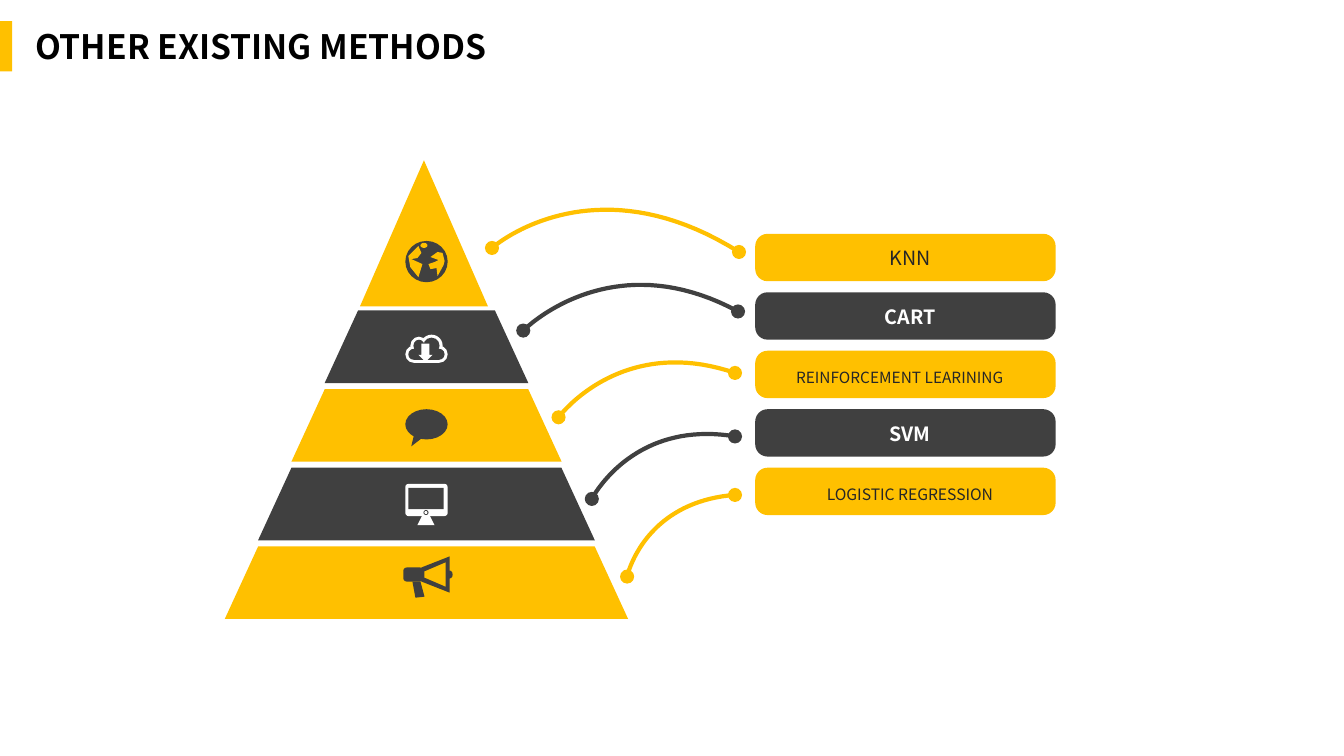
"""Build a slide with a five-level pyramid linked to a list of methods."""
from pptx import Presentation
from pptx.dml.color import RGBColor as RGB
from pptx.enum.shapes import MSO_SHAPE as Shape
from pptx.enum.text import MSO_ANCHOR as Anchor, PP_ALIGN as Align
from pptx.util import Pt

GOLD = RGB(0xFF, 0xC0, 0x00)
DARK = RGB(0x40, 0x40, 0x40)
INK = RGB(0x26, 0x26, 0x26)
BLACK = RGB(0, 0, 0)
WHITE = RGB(0xFF, 0xFF, 0xFF)
FONT = "Noto Sans CJK SC"
PX = 9144

TITLE = "OTHER EXISTING METHODS"
NARROW, BROAD = (803, 199), (749, 287)
LEVELS = [
    dict(name="KNN", size=14, box=NARROW, icon="globe", icon_y=239,
         start=(488, 246), bend=(587, 158), end=(733, 250)),
    dict(name="CART", size=14, box=NARROW, icon="cloud", icon_y=332,
         start=(519, 328), bend=(605, 240), end=(732, 309)),
    dict(name="REINFORCEMENT LEARINING", size=11, box=BROAD, icon="bubble",
         icon_y=406, start=(554, 414), bend=(615, 331), end=(729, 370)),
    dict(name="SVM", size=14, box=NARROW, icon="screen", icon_y=480,
         start=(587, 495), bend=(627, 416), end=(729, 433)),
    dict(name="LOGISTIC REGRESSION", size=11.2, box=NARROW, icon="horn",
         icon_y=552, start=(622, 572), bend=(638, 498), end=(729, 491)),
]

PEAK = (357, 159, 127, 145)
BAND_X, BAND_Y, BAND_W, BAND_H = 322, 308, 202, 72
BAND_GAP, SLOPE = 6, 33
BAR_X, BAR_Y, BAR_W, BAR_H, PITCH = 749, 232, 298, 47, 58
ICON_X = 402
DOT = 14
STEPS = 40

deck = Presentation()
deck.slide_width, deck.slide_height = 1333 * PX, 750 * PX
shapes = deck.slides.add_slide(deck.slide_layouts[6]).shapes


def paint(shape, fill=None, line=None):
    """Set a plain fill or a plain line, without a shadow."""
    shape.shadow.inherit = False
    if fill is None:
        shape.fill.background()
    else:
        shape.fill.solid()
        shape.fill.fore_color.rgb = fill
    if line is None:
        shape.line.fill.background()
    else:
        shape.line.color.rgb = line
        shape.line.width = Pt(3)


def block(kind, box, fill, adjust=()):
    """Add a filled preset shape with its adjustments."""
    shape = shapes.add_shape(kind, *(side * PX for side in box))
    for index, value in enumerate(adjust):
        shape.adjustments[index] = round(value, 2)
    paint(shape, fill)


def draw(points, fill=None, line=None):
    """Add a filled polygon or an open line through the points."""
    first, *rest = [(round(x * PX), round(y * PX)) for x, y in points]
    pen = shapes.build_freeform(*first, scale=1.0)
    pen.add_line_segments(rest, close=fill is not None)
    paint(pen.convert_to_shape(), fill, line)


def curve(start, bend, end):
    """Give points on a cubic curve that leaves its start straight."""
    points = []
    for step in range(STEPS + 1):
        t = step / STEPS
        u = 1 - t
        near, mid, far = u ** 3 + 3 * u * u * t, 3 * u * t * t, t ** 3
        points.append([near * a + mid * b + far * c
                       for a, b, c in zip(start, bend, end)])
    return points


def write(text, box, size=14, color=INK, bold=False,
          align=Align.LEFT, anchor=Anchor.TOP, space=None):
    """Add a text box with one paragraph."""
    frame = shapes.add_textbox(*(side * PX for side in box)).text_frame
    frame.word_wrap = True
    frame.vertical_anchor = anchor
    para = frame.paragraphs[0]
    para.alignment, para.line_spacing = align, space
    run = para.add_run()
    run.text = text
    font = run.font
    font.name, font.size, font.bold = FONT, Pt(size), bold
    font.color.rgb = color


def sketch(name, top, pen, back):
    """Draw an icon in the pen colour, with gaps in the back colour."""

    def part(kind, x, y, w, h, fill=pen, adjust=()):
        block(kind, (ICON_X + x, top + y, w, h), fill, adjust)

    def patch(*points, fill=pen):
        draw([(ICON_X + x, top + y) for x, y in points], fill=fill)

    if name == "globe":
        part(Shape.OVAL, 0, 0, 42, 41)
        part(Shape.OVAL, 15, 2, 7, 5, back)
        patch((3, 15), (13, 5), (16, 12), (12, 17), (6, 18), (17, 23),
              (13, 36), (5, 26), fill=back)
        patch((23, 23), (29, 21), (33, 19), (25, 16), (32, 11), (37, 12),
              (39, 20), (38, 24), (32, 35), (31, 27), (25, 28), fill=back)
    elif name == "cloud":
        for fill, rim in ((pen, 0), (back, 3)):
            for kind, x, y, w, h in ((Shape.OVAL, 5, 2, 17, 18),
                                     (Shape.OVAL, 15, 0, 22, 22),
                                     (Shape.ROUNDED_RECTANGLE, 0, 11, 42, 17)):
                part(kind, x + rim, y + rim, w - 2 * rim, h - 2 * rim, fill,
                     (0.5,) if kind == Shape.ROUNDED_RECTANGLE else ())
        part(Shape.DOWN_ARROW, 13, 9, 14, 18, adjust=(0.57, 0.5))
    elif name == "bubble":
        part(Shape.OVAL_CALLOUT, 0, 0, 42, 30, adjust=(-0.36, 0.73))
    elif name == "screen":
        part(Shape.ROUNDED_RECTANGLE, 0, 0, 42, 32, adjust=(0.1,))
        part(Shape.RECTANGLE, 3, 4, 35, 21, back)
        part(Shape.OVAL, 18, 26, 5, 5, back)
        part(Shape.OVAL, 19, 27, 3, 3)
        part(Shape.TRAPEZOID, 12, 32, 17, 9, adjust=(0.5,))
    elif name == "horn":
        part(Shape.ROUNDED_RECTANGLE, -2, 11, 20, 14, adjust=(0.25,))
        part(Shape.OVAL, 41, 14, 6, 8)
        patch((16, 11), (44, 0), (44, 36), (16, 25))
        patch((19, 15), (40, 6), (40, 30), (19, 21), fill=back)
        patch((7, 25), (15, 25), (19, 40), (10, 41))


def label(level, top, bold, color):
    """Write the method name over its bar."""
    left, wide = level["box"]
    write(level["name"], (left, top + 6, wide, 35), size=level["size"],
          bold=bold, color=color, align=Align.CENTER, anchor=Anchor.BOTTOM,
          space=0.9)


write(TITLE, (25, 21, 522, 91), size=24, color=BLACK, bold=True)
block(Shape.RECTANGLE, (0, 21, 12, 50), GOLD)

for row, level in enumerate(LEVELS):
    odd = row % 2 == 1
    tone = DARK if odd else GOLD
    if row == 0:
        block(Shape.ISOSCELES_TRIANGLE, PEAK, tone)
    else:
        below = row - 1
        band = (BAND_X - below * SLOPE, BAND_Y + below * (BAND_H + BAND_GAP),
                BAND_W + 2 * below * SLOPE, BAND_H)
        block(Shape.TRAPEZOID, band, tone, (SLOPE / BAND_H,))
    sketch(level["icon"], level["icon_y"], WHITE if odd else DARK, tone)

    top = BAR_Y + row * PITCH
    block(Shape.ROUNDED_RECTANGLE, (BAR_X, top, BAR_W, BAR_H), tone, (0.26,))
    draw(curve(level["start"], level["bend"], level["end"]), line=tone)
    for x, y in (level["start"], level["end"]):
        block(Shape.OVAL, (x - DOT // 2, y - DOT // 2, DOT, DOT), tone)
    label(level, top, odd, WHITE if odd else INK)

deck.save("out.pptx")
